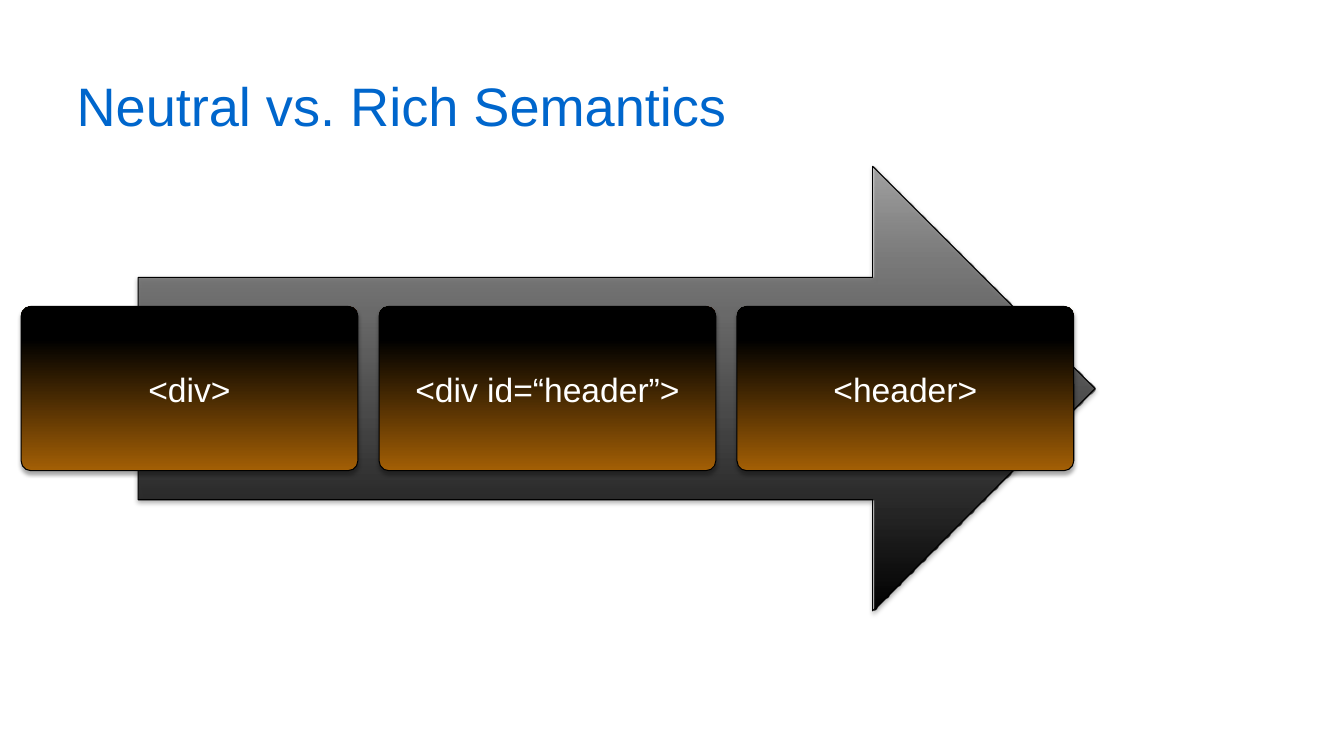
from lxml import etree
from pptx import Presentation
from pptx.dml.color import RGBColor
from pptx.enum import shapes, text
from pptx.oxml import ns
from pptx.util import Inches, Pt

BLUE = RGBColor(0x00, 0x66, 0xCC)
BLACK = RGBColor(0x00, 0x00, 0x00)
GRAY = RGBColor(0x66, 0x66, 0x66)
BROWN = RGBColor(0xA3, 0x5F, 0x05)
WHITE = RGBColor(0xFF, 0xFF, 0xFF)

# Gradient stops, bottom to top: position, colour and opacity in percent
ARROW_STOPS = [(0, BLACK, 100), (80, GRAY, 75), (100, GRAY, 45)]
CARD_STOPS = [(0, BROWN, 100), (80, BLACK, 100), (100, BLACK, 100)]
TAGS = ["<div>", "<div id=“header”>", "<header>"]
CARD_WIDTH = 3.34
CARD_PITCH = 3.55


def add_color(parent, color, opacity):
    element = etree.SubElement(parent, ns.qn("a:srgbClr"), val=str(color))
    if opacity < 100:
        etree.SubElement(element, ns.qn("a:alpha"), val=str(opacity * 1000))


def style_shape(shape, stops):
    """Give the shape a vertical gradient, a thin outline and a soft shadow."""
    shape.fill.gradient()
    shape.fill.gradient_angle = 90
    properties = shape._element.spPr
    stop_list = properties.find(".//" + ns.qn("a:gsLst"))
    for stop in list(stop_list):
        stop_list.remove(stop)
    for position, color, opacity in stops:
        stop = etree.SubElement(stop_list, ns.qn("a:gs"), pos=str(position * 1000))
        add_color(stop, color, opacity)

    shape.line.color.rgb = BLACK
    shape.line.width = Pt(0.75)

    shape.shadow.inherit = False
    shadow = etree.SubElement(
        properties.find(ns.qn("a:effectLst")), ns.qn("a:outerShdw"),
        blurRad=str(Pt(3.1)), dist=str(Pt(1.8)), dir="5400000", rotWithShape="0")
    add_color(shadow, BLACK, 35)


def write_text(shape, words, size, color, alignment, side_margin):
    frame = shape.text_frame
    frame.word_wrap = True
    frame.vertical_anchor = text.MSO_ANCHOR.MIDDLE
    frame.margin_left = frame.margin_right = Inches(side_margin)
    frame.margin_top = frame.margin_bottom = Inches(0.04)
    paragraph = frame.paragraphs[0]
    paragraph.text = words
    paragraph.alignment = alignment
    paragraph.font.name = "Arial"
    paragraph.font.size = Pt(size)
    paragraph.font.color.rgb = color


def add_title(slide, left, top, width, height):
    title = slide.shapes.add_textbox(
        Inches(left), Inches(top), Inches(width), Inches(height))
    write_text(title, "Neutral vs. Rich Semantics", 38.7, BLUE,
               text.PP_ALIGN.LEFT, 0.09)


def add_arrow(slide, left, top, width, height):
    arrow = slide.shapes.add_shape(
        shapes.MSO_SHAPE.RIGHT_ARROW,
        Inches(left), Inches(top), Inches(width), Inches(height))
    style_shape(arrow, ARROW_STOPS)


def add_cards(slide, left, top, height):
    for index, tag in enumerate(TAGS):
        card = slide.shapes.add_shape(
            shapes.MSO_SHAPE.ROUNDED_RECTANGLE,
            Inches(left + index * CARD_PITCH), Inches(top),
            Inches(CARD_WIDTH), Inches(height))
        card.adjustments[0] = 0.06
        style_shape(card, CARD_STOPS)
        write_text(card, tag, 24, WHITE, text.PP_ALIGN.CENTER, 0.08)


def main():
    presentation = Presentation()
    presentation.slide_width = Inches(13.33)
    presentation.slide_height = Inches(7.5)
    slide = presentation.slides.add_slide(presentation.slide_layouts[6])
    add_title(slide, 0.67, 0.61, 12.17, 0.86)
    add_arrow(slide, 1.37, 1.65, 9.49, 4.41)
    add_cards(slide, 0.21, 3.04, 1.63)
    presentation.save("out.pptx")


if __name__ == "__main__":
    main()
